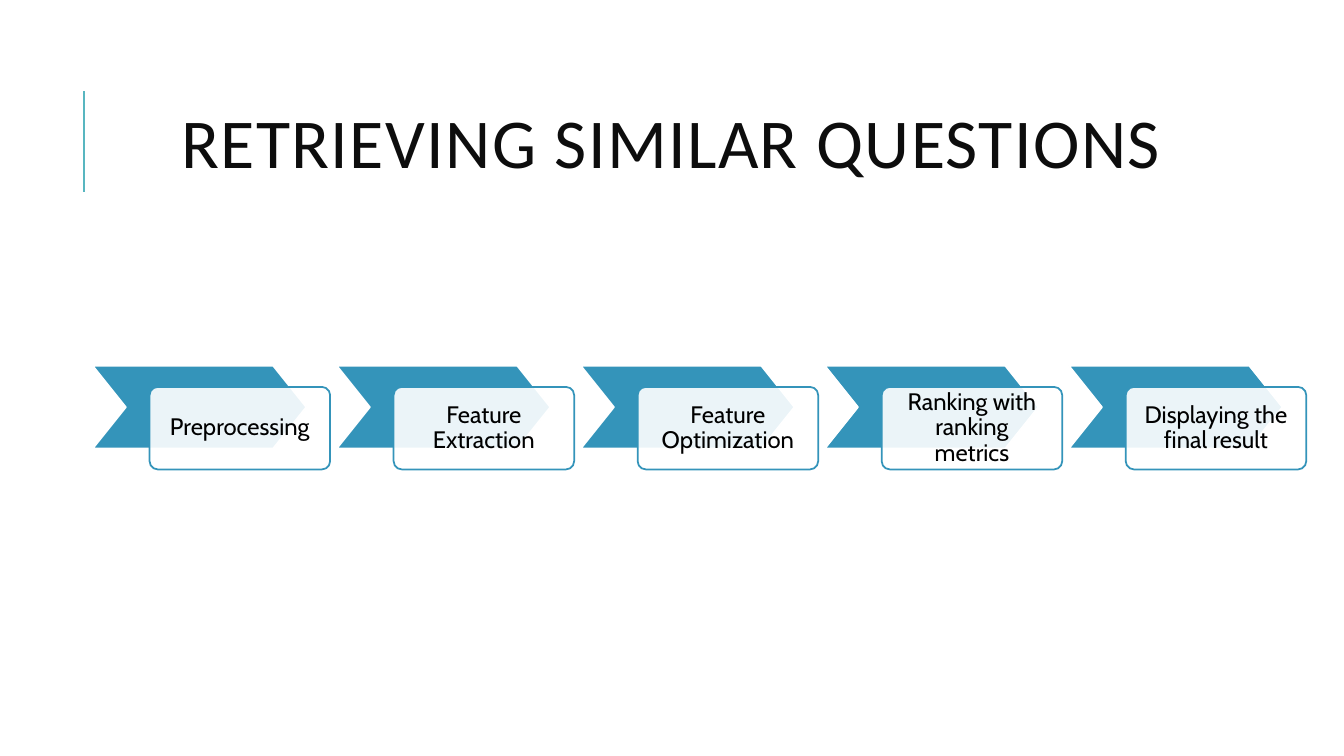
from dataclasses import dataclass

from lxml.etree import SubElement
from pptx import Presentation
from pptx.dml.color import RGBColor
from pptx.enum.shapes import MSO_CONNECTOR, MSO_SHAPE
from pptx.enum.text import MSO_ANCHOR, PP_ALIGN
from pptx.oxml.ns import qn
from pptx.util import Cm, Pt

COLORS = {
    "accent": "58B6C0",
    "step": "3494BA",
    "card": "FFFFFF",
    "heading": "0D0D0D",
    "label": "000000",
}
STEP_PITCH = 6.15
LINE_WIDTH = Pt(1.25)


@dataclass(frozen=True)
class Box:
    left: float
    top: float
    width: float
    height: float

    def shifted(self, distance: float) -> "Box":
        return Box(self.left + distance, self.top, self.width, self.height)

    def lengths(self) -> tuple:
        return Cm(self.left), Cm(self.top), Cm(self.width), Cm(self.height)


@dataclass(frozen=True)
class Step:
    position: int
    label: str


FIRST_CHEVRON = Box(2.34, 9.22, 5.38, 2.08)
FIRST_CARD = Box(3.77, 9.75, 4.55, 2.08)
STEPS = [Step(position, label) for position, label in enumerate([
    "Preprocessing",
    "Feature Extraction",
    "Feature Optimization",
    "Ranking with ranking metrics",
    "Displaying the final result",
])]


def color(name: str) -> RGBColor:
    return RGBColor.from_string(COLORS[name])


def add_run(paragraph, text: str, font: str, size: float, color_name: str):
    paragraph.alignment = PP_ALIGN.CENTER
    run = paragraph.add_run()
    run.text = text
    run.font.name = font
    run.font.size = Pt(size)
    run.font.color.rgb = color(color_name)
    return run


def add_outline(slide, preset, box: Box, adjustment: float, fill: str, line: str):
    outline = slide.shapes.add_shape(preset, *box.lengths())
    outline.adjustments[0] = adjustment
    outline.shadow.inherit = False
    outline.fill.solid()
    outline.fill.fore_color.rgb = color(fill)
    outline.line.color.rgb = color(line)
    outline.line.width = LINE_WIDTH
    return outline


def add_step(slide, step: Step) -> None:
    shift = step.position * STEP_PITCH
    add_outline(slide, MSO_SHAPE.CHEVRON, FIRST_CHEVRON.shifted(shift), 0.4, "step", "card")
    card = add_outline(slide, MSO_SHAPE.ROUNDED_RECTANGLE, FIRST_CARD.shifted(shift),
                       0.1, "card", "step")
    # Let the chevron show faintly through the card
    card_color = card._element.spPr.find(qn("a:solidFill")).find(qn("a:srgbClr"))
    SubElement(card_color, qn("a:alpha")).set("val", "90000")

    label = card.text_frame
    label.word_wrap = True
    label.vertical_anchor = MSO_ANCHOR.MIDDLE
    label.margin_left = label.margin_right = Cm(0.33)
    label.margin_top = label.margin_bottom = Cm(0.33)
    label.paragraphs[0].line_spacing = 0.9
    add_run(label.paragraphs[0], step.label, "Cabin", 17, "label")


def add_heading(slide, text: str) -> None:
    # Accent rule beside the heading
    rule = slide.shapes.add_connector(MSO_CONNECTOR.STRAIGHT,
                                      Cm(2.11), Cm(4.83), Cm(2.11), Cm(2.29))
    rule.line.color.rgb = color("accent")
    rule.line.width = Pt(1.5)
    SubElement(rule._element.spPr, qn("a:effectLst"))

    # Heading text
    heading = slide.shapes.add_textbox(*Box(2.62, 2.36, 28.6, 2.39).lengths()).text_frame
    heading.word_wrap = True
    run = add_run(heading.paragraphs[0], text, "Calibri", 50, "heading")
    run.font._element.set("spc", "100")


presentation = Presentation()
presentation.slide_width = Cm(33.87)
presentation.slide_height = Cm(19.05)
slide = presentation.slides.add_slide(presentation.slide_layouts[6])

add_heading(slide, "RETRIEVING SIMILAR QUESTIONS")

# Retrieval steps from left to right
for step in STEPS:
    add_step(slide, step)

presentation.save("out.pptx")
